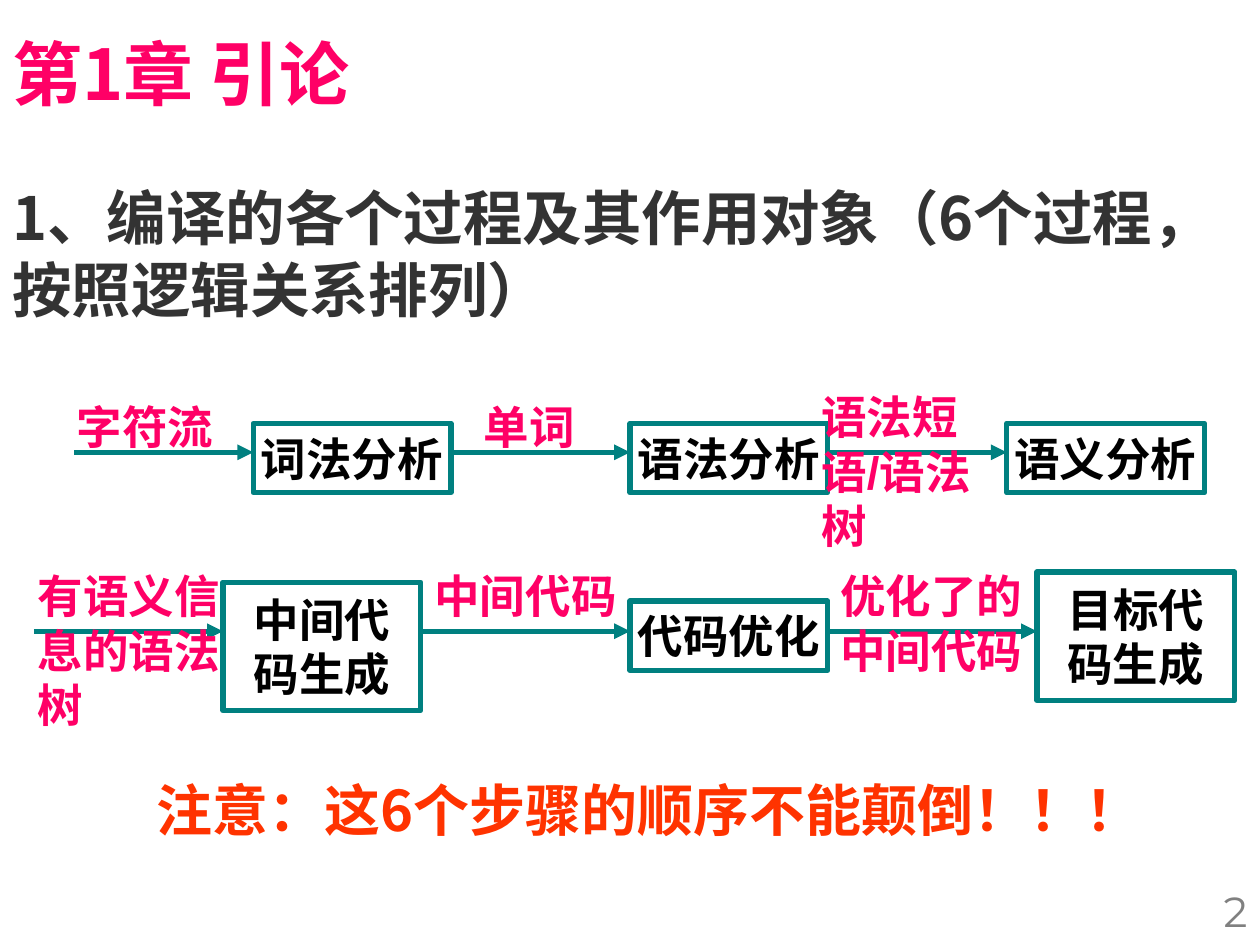
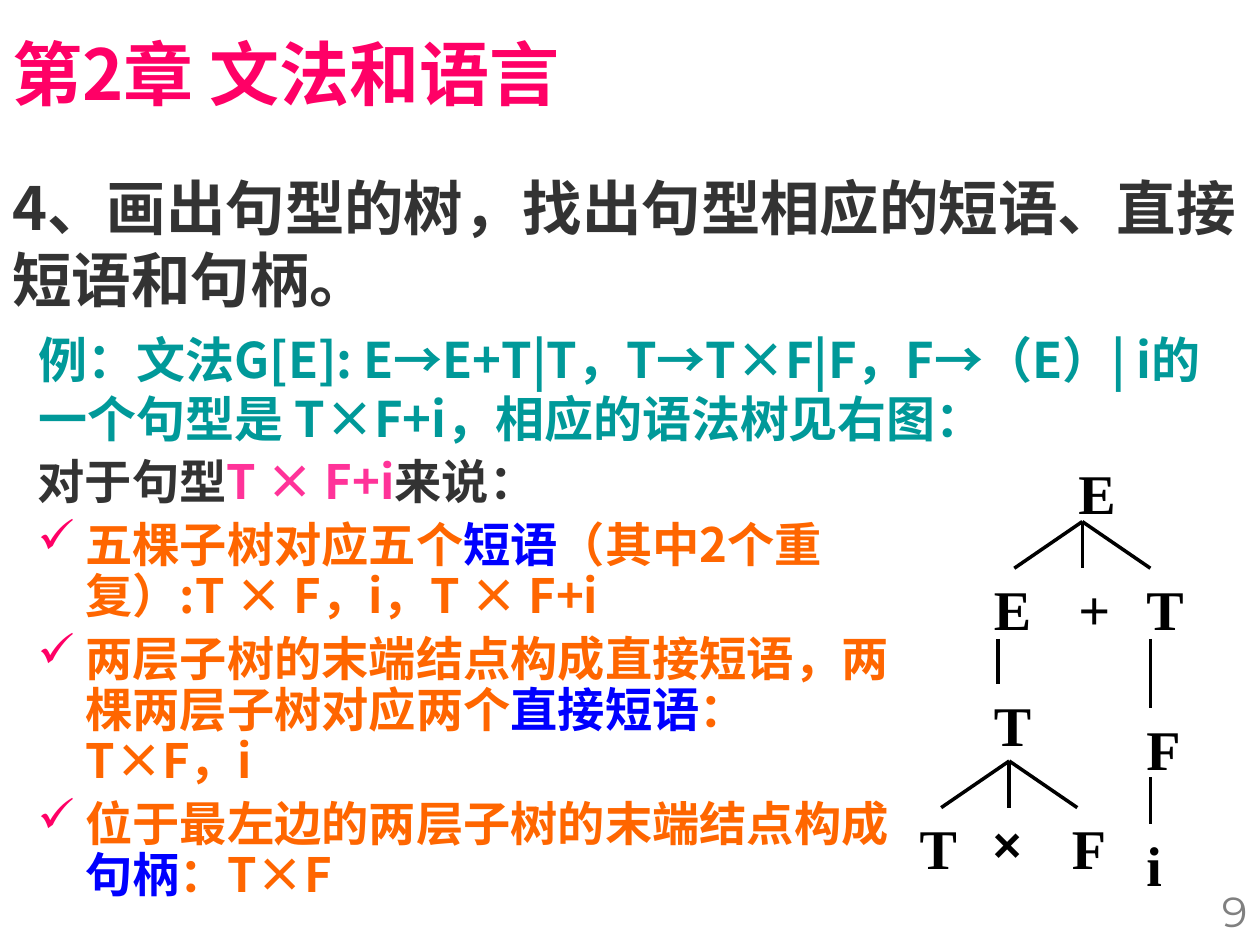
from collections import namedtuple
from lxml.etree import SubElement
from pptx import Presentation
from pptx.dml.color import RGBColor
from pptx.enum.shapes import MSO_CONNECTOR, MSO_SHAPE
from pptx.enum.text import MSO_ANCHOR, MSO_AUTO_SIZE, PP_ALIGN
from pptx.oxml.ns import qn
from pptx.util import Pt

PX = 9144
CJK = "Noto Sans CJK SC"
Style = namedtuple("Style", "size color font bold", defaults=(CJK, True))


class Theme:
    teal = "008080"
    black = "000000"
    pink = "FF0066"
    title = Style(40, pink)
    heading = Style(34, "333333")
    step = Style(26, black, "Arial")
    flow = Style(26, pink, "Arial")
    warning = Style(32, "FF3300")
    example = Style(28, "009999")
    notes = Style(27, "333333")
    symbol = Style(32, black, "Times New Roman")
    times = Style(28, black, "Arial")
    page = Style(24, "808080", "Montserrat", False)
    intro_colors = ("333333", "FF3399")
    point_colors = ("FF6600", "0000FF")


def dress(frame, style, align=PP_ALIGN.LEFT, anchor=MSO_ANCHOR.TOP, wrap=True):
    frame.word_wrap = wrap
    frame.auto_size = MSO_AUTO_SIZE.NONE
    frame.vertical_anchor = anchor
    frame.margin_left = frame.margin_right = 10 * PX
    frame.margin_top = frame.margin_bottom = 5 * PX
    for paragraph in frame.paragraphs:
        paragraph.alignment = align
        for run in paragraph.runs:
            run.font.size = Pt(style.size)
            run.font.bold = style.bold
            run.font.color.rgb = RGBColor.from_string(style.color)
            run.font.name = style.font
            SubElement(run.font._element, qn("a:ea"), typeface=CJK)


def connect(shapes, start, end, color, weight, arrow=False):
    ends = [value * PX for value in (*start, *end)]
    connector = shapes.add_connector(MSO_CONNECTOR.STRAIGHT, *ends)
    connector.line.color.rgb = RGBColor.from_string(color)
    connector.line.width = Pt(weight)
    if arrow:
        SubElement(connector.line._get_or_add_ln(), qn("a:tailEnd"), type="triangle")
    SubElement(connector._element.spPr, qn("a:effectLst"))


presentation = Presentation()
presentation.slide_width = 1000 * PX
presentation.slide_height = 750 * PX

chapters = [
    ("第1章 引论", "2", "1、编译的各个过程及其作用对象（6个过程，按照逻辑关系排列）", 139, 973),
    ("第2章 文法和语言", "9", "4、画出句型的树，找出句型相应的短语、直接短语和句柄。", 131, 1000),
]
for chapter, number, question, top, width in chapters:
    slide = presentation.slides.add_slide(presentation.slide_layouts[5])
    title = slide.shapes.title
    title.left, title.top, title.width, title.height = 0, 0, 823 * PX, 115 * PX
    title.text_frame.text = chapter
    dress(title.text_frame, Theme.title, anchor=MSO_ANCHOR.MIDDLE)

    page = slide.shapes.add_textbox(767 * PX, 698 * PX, 233 * PX, 15 * PX)
    page.text_frame.text = number
    dress(page.text_frame, Theme.page, PP_ALIGN.RIGHT)

    heading = slide.shapes.add_textbox(0, top * PX, width * PX, 120 * PX)
    heading.text_frame.text = question
    dress(heading.text_frame, Theme.heading)

phases, grammar = presentation.slides

STEP_WIDTH = 157
rows = [
    (59, 359, [
        ("词法分析", 201, 336, 55, "字符流", 51, 312, 134, 54),
        ("语法分析", 500, 336, 55, "单词", 374, 312, 142, 54),
        ("语义分析", 799, 336, 55, "语法短语/语法树", 642, 304, 165, 140),
    ]),
    (27, 501, [
        ("中间代码生成", 177, 462, 102, "有语义信息的语法树", 20, 446, 165, 140),
        ("代码优化", 500, 477, 55, "中间代码", 335, 446, 165, 54),
        ("目标代码生成", 823, 454, 102, "优化了的中间代码", 657, 446, 165, 97),
    ]),
]
for arrow_start, arrow_y, steps in rows:
    for name, left, top, height, flow, *flow_box in steps:
        step = phases.shapes.add_shape(
            MSO_SHAPE.RECTANGLE, left * PX, top * PX, STEP_WIDTH * PX, height * PX)
        step.shadow.inherit = False
        step.fill.background()
        step.line.color.rgb = RGBColor.from_string(Theme.teal)
        step.line.width = Pt(3)
        step.text_frame.text = name
        dress(step.text_frame, Theme.step, PP_ALIGN.CENTER, MSO_ANCHOR.MIDDLE, wrap=height > 55)

        connect(phases.shapes, (arrow_start, arrow_y), (left, arrow_y), Theme.teal, 3, arrow=True)
        arrow_start = left + STEP_WIDTH

        flow_label = phases.shapes.add_textbox(*[value * PX for value in flow_box])
        flow_label.text_frame.text = flow
        dress(flow_label.text_frame, Theme.flow)

warning = phases.shapes.add_textbox(114 * PX, 611 * PX, 851 * PX, 64 * PX)
warning.text_frame.text = "注意：这6个步骤的顺序不能颠倒！！！"
dress(warning.text_frame, Theme.warning)

example = grammar.shapes.add_textbox(0, 257 * PX, 1000 * PX, 100 * PX)
example.text_frame.text = (
    "例：文法G[E]: E→E+T|T，T→T×F|F，F→（E）| i的一个句型是 T×F+i，相应的语法树见右图：")
example.text_frame.paragraphs[0]._p.get_or_add_pPr().set("marL", str(21 * PX))
dress(example.text_frame, Theme.example)

tree = grammar.shapes.add_group_shape().shapes
symbols = [
    ("E", 846, 359),
    ("E", 779, 451), ("+", 846, 451), ("T", 900, 451),
    ("T", 779, 543), ("F", 900, 562),
    ("T", 720, 641), ("×", 788, 641), ("F", 841, 641), ("i", 900, 654),
]
for symbol, left, top in symbols:
    node = tree.add_textbox(left * PX, top * PX, 54 * PX, 55 * PX)
    node.text_frame.text = symbol
    dress(node.text_frame, Theme.times if symbol == "×" else Theme.symbol)
    if symbol == "×":
        node.text_frame.margin_left = 0

branches = [((x, top), (x, bottom)) for x, top, bottom in
            [(792, 507, 543), (913, 507, 562), (913, 617, 654)]]
for x, y in [(859, 414), (801, 604)]:
    branches += [((x, y), (x + spread, y + 37)) for spread in (-54, 0, 54)]
for parent, child in branches:
    connect(tree, parent, child, Theme.black, 2)

notes = grammar.shapes.add_textbox(20 * PX, 359 * PX, 701 * PX, 391 * PX)
remarks = [
    ("对于句型", "T × F+i", "来说："),
    ("五棵子树对应五个", "短语", "（其中2个重复）:T × F，i，T × F+i"),
    ("两层子树的末端结点构成直接短语，两棵两层子树对应两个", "直接短语", "：T×F，i"),
    ("位于最左边的两层子树的末端结点构成", "句柄", "：T×F"),
]
for index, pieces in enumerate(remarks):
    remark = notes.text_frame.add_paragraph() if index else notes.text_frame.paragraphs[0]
    properties = remark._p.get_or_add_pPr()
    properties.set("marL", str(38 * PX))
    properties.set("indent", str(-38 * PX))
    if index:
        SubElement(SubElement(properties, qn("a:buClr")), qn("a:srgbClr"), val=Theme.pink)
        SubElement(properties, qn("a:buChar"), char="✓")
        remark.space_before = Pt(6.8)
    remark.line_spacing = 0.9
    for piece in pieces:
        remark.add_run().text = piece
dress(notes.text_frame, Theme.notes)
for index, remark in enumerate(notes.text_frame.paragraphs):
    colors = Theme.point_colors if index else Theme.intro_colors
    for position, run in enumerate(remark.runs):
        run.font.color.rgb = RGBColor.from_string(colors[position % 2])

presentation.save("out.pptx")
